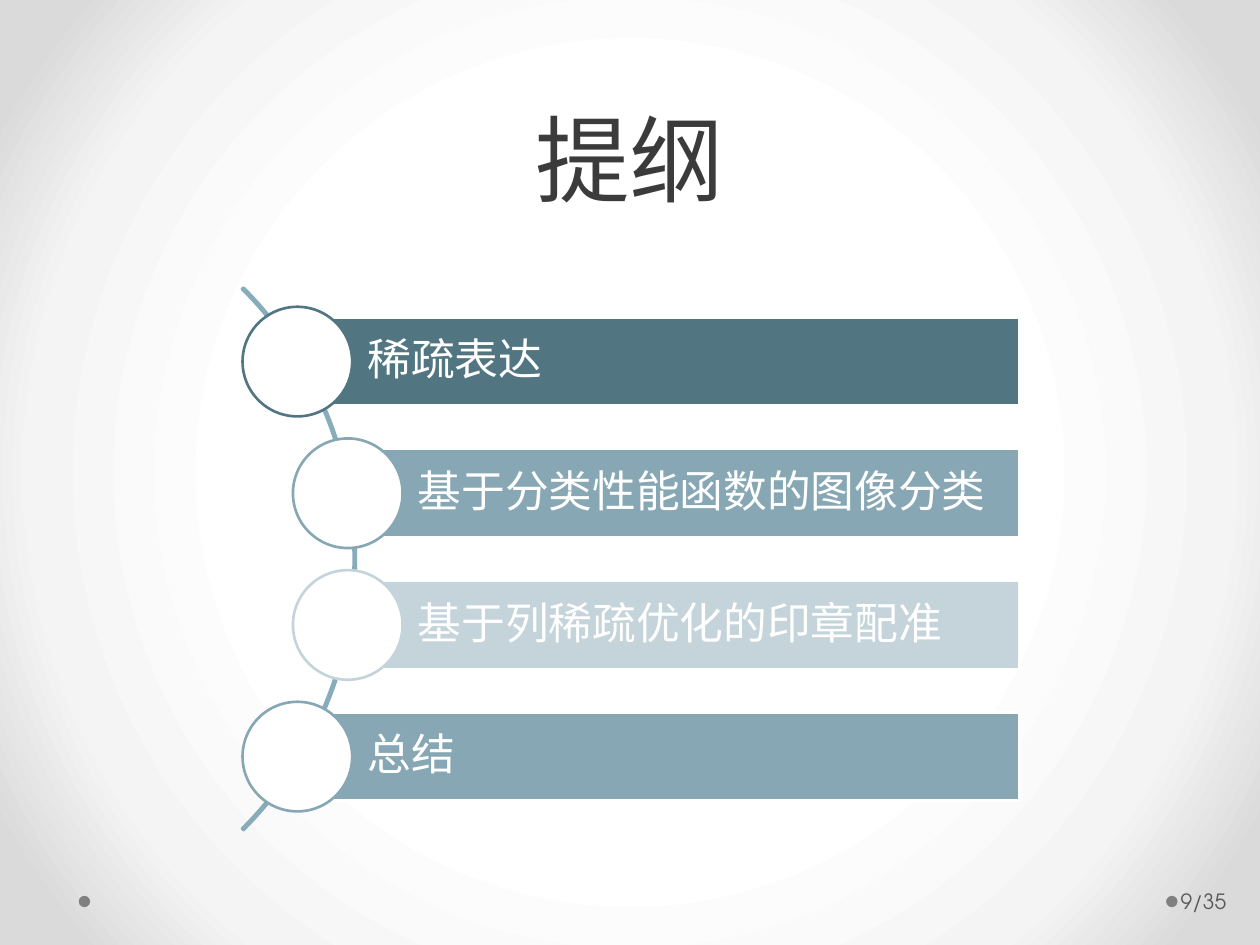
import pptx
import pptx.dml.color
import pptx.enum.shapes
import pptx.enum.text
import pptx.oxml
import pptx.oxml.ns
import pptx.util

COLS, ROWS = 100, 75
CELL = pptx.util.Inches(0.1)
KIND = pptx.enum.shapes.MSO_SHAPE
ALIGN = pptx.enum.text.PP_ALIGN
ANCHOR = pptx.enum.text.MSO_ANCHOR
SERIF, SANS = "Times New Roman", "TeX Gyre Adventor"
WHITE, GREY = "FFFFFF", "808080"
STOPS = [(50, WHITE), (76, "F4F4F4"), (92, "DADADA")]
ITEMS = [
    ("稀疏表达", 23.6, "517682"),
    ("基于分类性能函数的图像分类", 27.6, "86A7B3"),
    ("基于列稀疏优化的印章配准", 27.6, "C4D4DA"),
    ("总结", 23.6, "86A7B3"),
]
FIRST, LAST, RIGHT = 28.7, 60.05, 80.9
THICK, DISC = 7, 8.7


def hue(code):
    """Turn a hex string into a colour."""
    return pptx.dml.color.RGBColor.from_string(code)


def grid(*cells):
    """Turn grid cells into slide lengths."""
    return [round(n * CELL) for n in cells]


def glow(slide):
    """Fill the background with a round gradient."""
    slide.background.fill.solid()
    stops = "".join(
        f'<a:gs pos="{pos * 1000}"><a:srgbClr val="{code}"/></a:gs>'
        for pos, code in STOPS
    )
    fill = pptx.oxml.parse_xml(
        f'<a:gradFill {pptx.oxml.ns.nsdecls("a")} rotWithShape="1">'
        f'<a:gsLst>{stops}</a:gsLst><a:path path="circle">'
        '<a:fillToRect l="50000" t="50000" r="50000" b="50000"/>'
        "</a:path></a:gradFill>"
    )
    base = slide.element.xpath(".//p:bgPr")[0]
    base.replace(base[0], fill)


def draw(slide, kind, place, fill=None, line=None):
    """Add a preset shape with an optional fill and line."""
    shape = slide.shapes.add_shape(kind, *grid(*place))
    shape.shadow.inherit = False
    if fill:
        shape.fill.solid()
        shape.fill.fore_color.rgb = hue(fill)
    else:
        shape.fill.background()
    if line:
        shape.line.color.rgb = hue(line)
        shape.line.width = pptx.util.Pt(1.5)
    else:
        shape.line.fill.background()
    return shape


def write(shape, text, size, color, font=SERIF, align=ALIGN.LEFT,
          anchor=ANCHOR.MIDDLE, pad=(1, 0.5, 1, 0.5), space=1.0):
    """Put one formatted paragraph into a shape."""
    frame = shape.text_frame
    frame.word_wrap = True
    frame.vertical_anchor = anchor
    (frame.margin_left, frame.margin_top,
     frame.margin_right, frame.margin_bottom) = grid(*pad)
    para = frame.paragraphs[0]
    para.alignment = align
    para.line_spacing = space
    run = para.add_run()
    run.text = text
    run.font.size = pptx.util.Pt(size)
    run.font.name = font
    run.font.color.rgb = hue(color)


def label(slide, place, text, **style):
    """Add a text box."""
    write(slide.shapes.add_textbox(*grid(*place)), text, **style)


def disc(slide, x, y, size, fill, line=None):
    """Add a circle around a centre."""
    draw(slide, KIND.OVAL, (x - size / 2, y - size / 2, size, size), fill, line)


def arc(slide):
    """Add the thin curve behind the list."""
    shape = draw(slide, KIND.BLOCK_ARC, (-32.65, 13.9, 60.9, 60.9),
                 line="87ADBA")
    for i, value in enumerate((189, 27, 0.003)):
        shape.adjustments[i] = value


def item(slide, y, text, left, color):
    """Add a bar with its text and the circle at its left end."""
    bar = draw(slide, KIND.RECTANGLE,
               (left, y - THICK / 2, RIGHT - left, THICK), color, WHITE)
    write(bar, text, 25, WHITE, pad=(5.56, 0.7, 0.7, 0.7), space=0.9)
    disc(slide, left, y, DISC, WHITE, color)


def main():
    """Build the outline slide."""
    deck = pptx.Presentation()
    deck.slide_width, deck.slide_height = grid(COLS, ROWS)
    slide = deck.slides.add_slide(deck.slide_layouts[6])
    glow(slide)
    for x in (6.7, 93):
        disc(slide, x, 71.55, 0.9, GREY)
    label(slide, (5, 0, 90, 17.5), "提纲", size=54, color="3B3B3B",
          align=ALIGN.CENTER, anchor=ANCHOR.BOTTOM, space=pptx.util.Pt(58))
    arc(slide)
    step = (LAST - FIRST) / (len(ITEMS) - 1)
    for i, entry in enumerate(ITEMS):
        item(slide, FIRST + i * step, *entry)
    label(slide, (93.4, 69.5, 6.1, 4), "9/35", size=12, color="595959",
          font=SANS, pad=(0.3, 0.5, 0.5, 0.5))
    deck.save("out.pptx")


if __name__ == "__main__":
    main()
